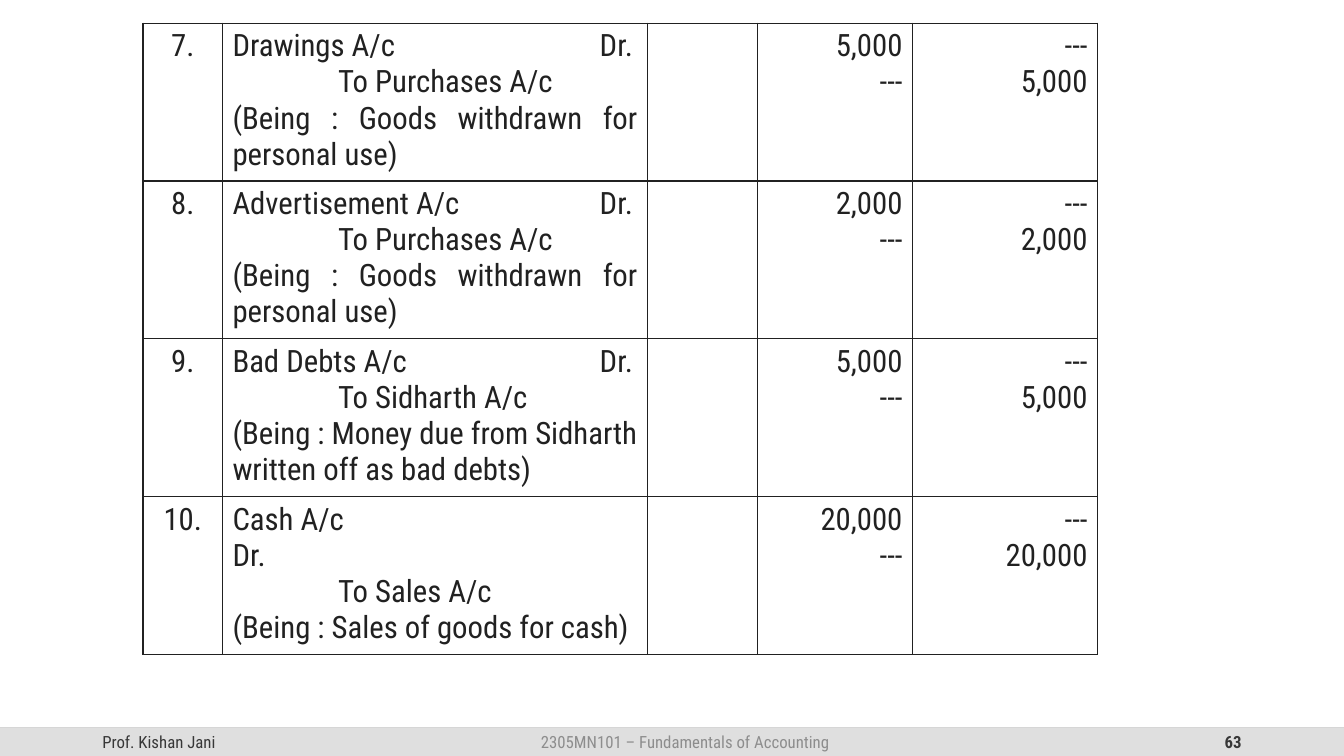
from lxml.etree import SubElement
from pptx import Presentation
from pptx.dml.color import RGBColor
from pptx.enum.shapes import MSO_CONNECTOR, MSO_SHAPE
from pptx.enum.text import MSO_ANCHOR, PP_ALIGN
from pptx.oxml import parse_xml
from pptx.oxml.ns import nsdecls, qn
from pptx.util import Pt

FONT = "Roboto Condensed"
INK = "212121"
LEFT, TOP, PITCH, ROW_HEIGHT = 102.2, 16.5, 112.7, 110.5
COLUMNS = [56.7, 303.7, 78.5, 110.8, 132.2]
INDENT, DEBIT_TAB = 75.5, 286
BAR_TOP, BAR_HEIGHT = 519.8, 20.2

# number, account lines, credited account, narration, its alignment, amount
ENTRIES = [
    ("7.", ["Drawings A/c\tDr."], "To Purchases A/c",
     "(Being : Goods withdrawn for personal use)", PP_ALIGN.JUSTIFY, "5,000"),
    ("8.", ["Advertisement A/c\tDr."], "To Purchases A/c",
     "(Being : Goods withdrawn for personal use)", PP_ALIGN.JUSTIFY, "2,000"),
    ("9.", ["Bad Debts A/c\tDr."], "To Sidharth A/c",
     "(Being : Money due from Sidharth written off as bad debts)", PP_ALIGN.LEFT, "5,000"),
    ("10.", ["Cash A/c", "Dr."], "To Sales A/c",
     "(Being : Sales of goods for cash)", PP_ALIGN.LEFT, "20,000"),
]


def color(value):
    return RGBColor.from_string(value)


def style(paragraph, size, ink, align, bold=False):
    paragraph.alignment = align
    paragraph.font.name = FONT
    paragraph.font.size = Pt(size)
    paragraph.font.bold = bold
    paragraph.font.color.rgb = color(ink)


def add_border(cell):
    properties = cell._tc.get_or_add_tcPr()
    for position, side in enumerate(("lnL", "lnR", "lnT", "lnB")):
        properties.insert(position, parse_xml(
            f'<a:{side} {nsdecls("a")} w="{Pt(1)}"><a:solidFill>'
            f'<a:srgbClr val="{INK}"/></a:solidFill></a:{side}>'))


def fill_cell(cell, lines):
    """Write lines given as (text, alignment, left indent)."""
    frame = cell.text_frame
    for index, (text, align, indent) in enumerate(lines):
        paragraph = frame.add_paragraph() if index else frame.paragraphs[0]
        paragraph.text = text
        properties = paragraph._p.get_or_add_pPr()
        if indent:
            properties.set("marL", str(Pt(indent)))
        if "\t" in text:
            tabs = SubElement(properties, qn("a:tabLst"))
            SubElement(tabs, qn("a:tab"), pos=str(Pt(DEBIT_TAB)), algn="r")
        style(paragraph, 22, INK, align)


def add_entry(page, top, entry):
    number, accounts, credited, narration, narration_align, amount = entry
    table = page.shapes.add_table(
        1, len(COLUMNS), Pt(LEFT), Pt(top), Pt(sum(COLUMNS)), Pt(ROW_HEIGHT)).table
    table.first_row = table.horz_banding = False
    table.rows[0].height = Pt(ROW_HEIGHT)
    particulars = [(line, PP_ALIGN.LEFT, 0) for line in accounts]
    particulars += [(credited, PP_ALIGN.LEFT, INDENT), (narration, narration_align, 0)]
    contents = [
        [(number, PP_ALIGN.CENTER, 0)],
        particulars,
        [],
        [(text, PP_ALIGN.RIGHT, 0) for text in (amount, "---")],
        [(text, PP_ALIGN.RIGHT, 0) for text in ("---", amount)],
    ]
    for index, (width, lines) in enumerate(zip(COLUMNS, contents)):
        table.columns[index].width = Pt(width)
        cell = table.cell(0, index)
        cell.fill.background()
        add_border(cell)
        fill_cell(cell, lines)


def add_footer_bar(page):
    # Translucent rule along the top of the bar
    rule = page.shapes.add_connector(
        MSO_CONNECTOR.STRAIGHT, Pt(0), Pt(BAR_TOP), Pt(960), Pt(BAR_TOP))
    rule.line.width = Pt(1)
    rule.line.color.rgb = color("BFBFBF")
    properties = rule._element.spPr
    shade = next(properties.iter(qn("a:srgbClr")))
    SubElement(shade, qn("a:alpha"), val="70000")
    SubElement(properties, qn("a:effectLst"))

    bar = page.shapes.add_shape(
        MSO_SHAPE.ROUNDED_RECTANGLE, Pt(0), Pt(BAR_TOP), Pt(960), Pt(BAR_HEIGHT))
    bar.adjustments[0] = 0
    bar.shadow.inherit = False
    bar.fill.solid()
    bar.fill.fore_color.rgb = color("DFDFDF")
    bar.line.fill.background()


def add_footer_text(page, left, width, text, ink, align, bold=False):
    box = page.shapes.add_textbox(Pt(left), Pt(BAR_TOP), Pt(width), Pt(BAR_HEIGHT))
    frame = box.text_frame
    frame.word_wrap = True
    frame.vertical_anchor = MSO_ANCHOR.MIDDLE
    frame.text = text
    style(frame.paragraphs[0], 12, ink, align, bold)


def main():
    deck = Presentation()
    deck.slide_width, deck.slide_height = Pt(960), Pt(540)
    page = deck.slides.add_slide(deck.slide_layouts[6])

    # Footer
    add_footer_bar(page)
    add_footer_text(page, 66, 216, "Prof. Kishan Jani", "373737", PP_ALIGN.LEFT)
    add_footer_text(page, 678, 216, "63", "373737", PP_ALIGN.RIGHT, bold=True)
    add_footer_text(page, 301, 377, "2305MN101 – Fundamentals of Accounting",
                    "8D8D8D", PP_ALIGN.CENTER)

    # Journal entries
    for index, entry in enumerate(ENTRIES):
        add_entry(page, TOP + index * PITCH, entry)

    deck.save("out.pptx")


if __name__ == "__main__":
    main()
